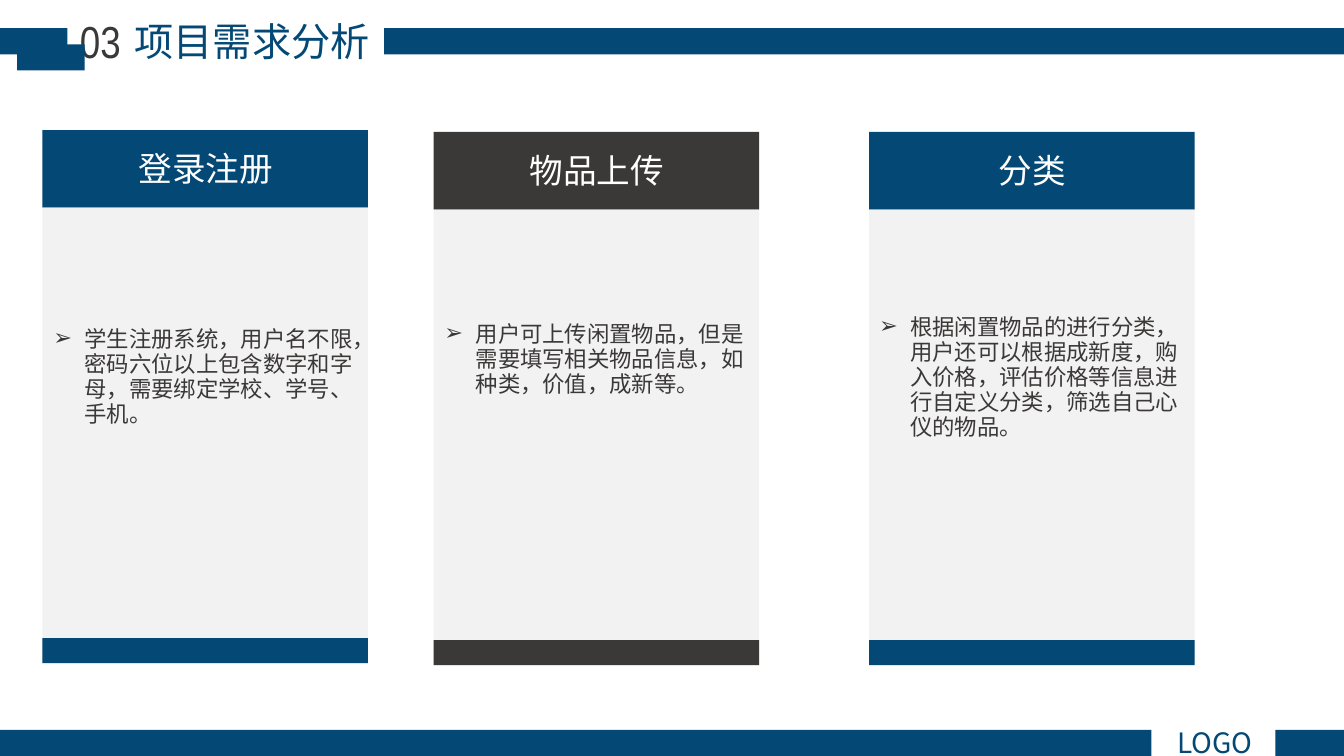
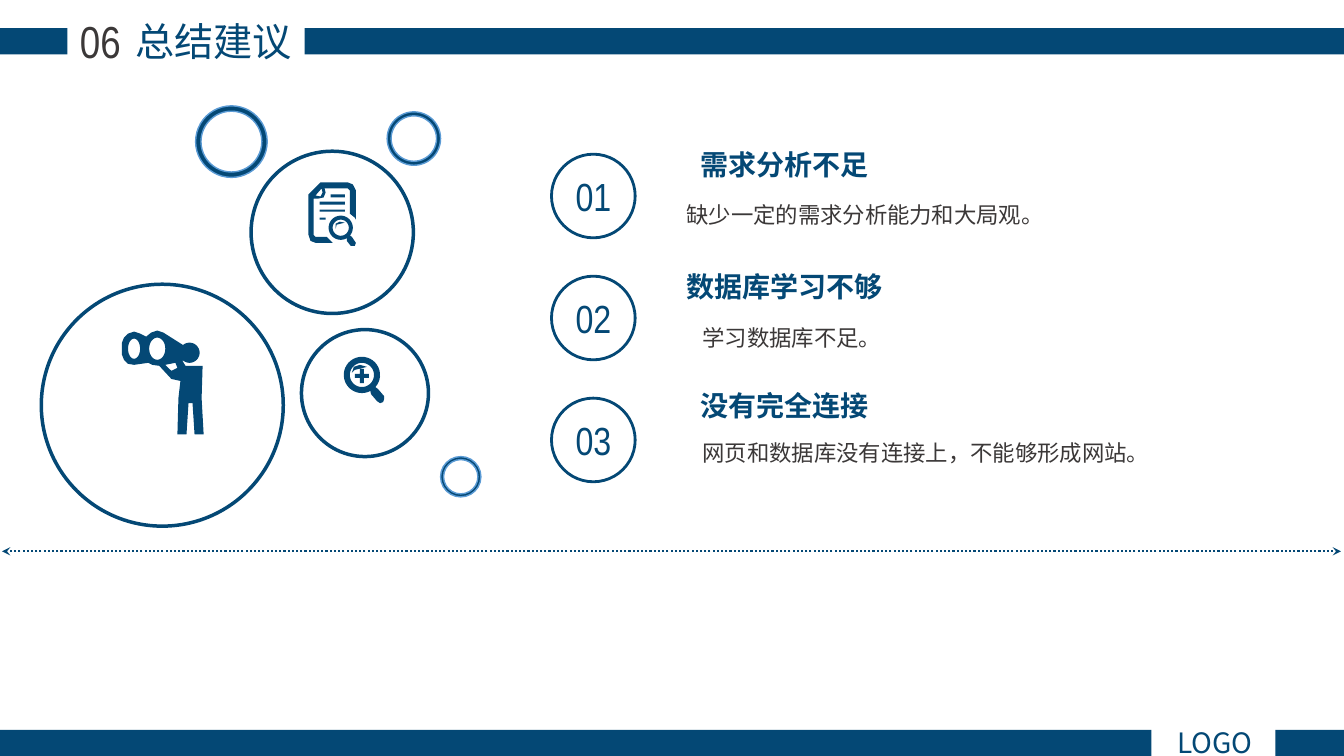
from math import cos, radians, sin

from lxml import etree
from pptx import Presentation
from pptx.dml.color import RGBColor
from pptx.enum.dml import MSO_LINE
from pptx.enum.shapes import MSO_CONNECTOR, MSO_SHAPE
from pptx.enum.text import PP_ALIGN
from pptx.oxml.ns import qn
from pptx.util import Inches, Pt

RECT, OVAL, DONUT = MSO_SHAPE.RECTANGLE, MSO_SHAPE.OVAL, MSO_SHAPE.DONUT
STRAIGHT, DOTTED = MSO_CONNECTOR.STRAIGHT, MSO_LINE.ROUND_DOT
LEFT, CENTER = PP_ALIGN.LEFT, PP_ALIGN.CENTER

BLUE, DARK, PALE, WHITE, RIM = "044875", "3B3838", "F2F2F2", "FFFFFF", "5B9BD5"
CJK, LATIN, NARROW = "Noto Sans CJK SC", "Calibri", "Arial Narrow"
BAND_H = 0.26

# Text styles
TITLE = {"size": Pt(28), "name": CJK}
SECTION = {"size": Pt(32), "name": NARROW}
FOOTER = {"size": Pt(20), "name": CJK}
CARD_HEAD = {"size": Pt(24), "name": LATIN}
BODY = {"size": Pt(16), "name": LATIN}
NUMBER = {"size": Pt(28), "name": NARROW}
POINT = {"size": Pt(20), "name": LATIN, "bold": True}


def rgb(value):
    return RGBColor.from_string(value)


def arc(cx, cy, rx, ry, start=0, end=360, steps=36):
    """Points along an ellipse, angles in degrees, clockwise from the right."""
    angles = [radians(start + (end - start) * i / steps) for i in range(steps + 1)]
    return [(cx + rx * cos(a), cy + ry * sin(a)) for a in angles]


def box(x1, y1, x2, y2):
    return [(x1, y1), (x2, y1), (x2, y2), (x1, y2)]


class Deck:
    def __init__(self):
        self.prs = Presentation()
        self.prs.slide_width, self.prs.slide_height = Inches(13.33), Inches(7.5)
        self.s = None

    def slide(self, number, title, title_x, bar_x):
        """Start a slide with the shared title, bands and footer."""
        self.s = self.prs.slides.add_slide(self.prs.slide_layouts[6])
        for x, y, w in ((0, 0.28, 0.67), (bar_x, 0.28, 13.33 - bar_x),
                        (12.65, 7.24, 0.68), (0, 7.24, 11.42)):
            self.shape(RECT, x, y, w, BAND_H, BLUE)
        self.text(title, title_x, 0.12, 3.6, 0.57, TITLE, BLUE)
        self.text(number, 0.6, 0.09, 0.79, 0.64, SECTION, DARK)
        self.text("LOGO", 11.23, 7.15, 1.64, 0.44, FOOTER, BLUE)

    def paint(self, sp, fill=None, line=None, width=1):
        sp.shadow.inherit = False
        if fill:
            sp.fill.solid()
            sp.fill.fore_color.rgb = rgb(fill)
        else:
            sp.fill.background()
        if line:
            sp.line.color.rgb = rgb(line)
            sp.line.width = Pt(width)
        else:
            sp.line.fill.background()

    def shape(self, kind, x, y, w, h, fill=None, line=None, width=1):
        sp = self.s.shapes.add_shape(kind, Inches(x), Inches(y), Inches(w), Inches(h))
        self.paint(sp, fill, line, width)
        return sp

    def text(self, text, x, y, w, h, style, color, align=CENTER, spacing=None, bullet=None):
        sp = self.s.shapes.add_textbox(Inches(x), Inches(y), Inches(w), Inches(h))
        tf = sp.text_frame
        tf.word_wrap = True
        p = tf.paragraphs[0]
        p.alignment = align
        if spacing:
            p.line_spacing = Pt(spacing)
        if bullet:
            pPr = p._p.get_or_add_pPr()
            pPr.set("marL", str(Inches(0.31)))
            pPr.set("indent", str(-Inches(0.31)))
            etree.SubElement(pPr, qn("a:buFont"), typeface="Wingdings")
            pPr[-1].set("typeface", "Arial")
            etree.SubElement(pPr, qn("a:buChar"), char=bullet)
        r = p.add_run()
        r.text = text
        for key, value in style.items():
            setattr(r.font, key, value)
        r.font.color.rgb = rgb(color)
        etree.SubElement(r._r.get_or_add_rPr(), qn("a:ea"), typeface=CJK)

    def icon(self, *outlines):
        """One freeform; outlines inside others cut holes."""
        pts = [[(Inches(x), Inches(y)) for x, y in o] for o in outlines]
        fb = self.s.shapes.build_freeform(*pts[0][0])
        fb.add_line_segments(pts[0][1:], close=True)
        for outline in pts[1:]:
            fb.move_to(*outline[0])
            fb.add_line_segments(outline[1:], close=True)
        self.paint(fb.convert_to_shape(), BLUE)

    def ring(self, x, y, d):
        sp = self.shape(DONUT, x, y, d, d, BLUE, RIM)
        sp.adjustments[0] = 0.075

    def circle(self, x, y, d, width):
        self.shape(OVAL, x, y, d, d, line=BLUE, width=width)

    def dotted_arrow(self, x1, x2, y):
        c = self.s.shapes.add_connector(STRAIGHT, Inches(x1), Inches(y), Inches(x2), Inches(y))
        c.line.color.rgb = rgb(BLUE)
        c.line.width = Pt(1.5)
        c.line.dash_style = DOTTED
        ln = c.line._get_or_add_ln()
        for end in ("a:headEnd", "a:tailEnd"):
            etree.SubElement(ln, qn(end), type="stealth")
        etree.SubElement(c._element.spPr, qn("a:effectLst"))

    def card(self, x, y, color, head, body, body_x, body_y, body_h):
        w = 3.23
        self.shape(RECT, x, y, w, 0.77, color)
        self.shape(RECT, x, y + 0.77, w, 4.52, PALE)
        self.shape(RECT, x, y + 5.04, w, 0.25, color)
        self.text(head, x + 0.14, y + 0.13, 2.96, 0.5, CARD_HEAD, WHITE)
        self.text(body, body_x, body_y, 3.22, body_h, BODY, DARK, LEFT, 18, "➢")


def requirements(deck):
    deck.slide("03", "项目需求分析", 0.7, 3.81)
    cards = (
        (0.42, 1.29, BLUE, "登录注册",
         "学生注册系统，用户名不限，密码六位以上包含数字和字母，需要绑定学校、学号、手机。",
         0.43, 3.19, 1.11),
        (4.3, 1.31, DARK, "物品上传",
         "用户可上传闲置物品，但是需要填写相关物品信息，如种类，价值，成新等。",
         4.31, 3.14, 0.86),
        (8.62, 1.31, BLUE, "分类",
         "根据闲置物品的进行分类，用户还可以根据成新度，购入价格，评估价格等信息进行自定义分类，筛选自己心仪的物品。",
         8.62, 3.07, 1.36),
    )
    for card in cards:
        deck.card(*card)
    deck.shape(RECT, 0.17, 0.44, 0.67, BAND_H, BLUE)


def draw_icons(deck):
    # Person with binoculars
    deck.icon(
        [(1.56, 3.28), (1.5, 3.3), (1.45, 3.34), (1.39, 3.31), (1.33, 3.29), (1.27, 3.31),
         (1.23, 3.35), (1.21, 3.4), (1.21, 3.52), (1.23, 3.57), (1.27, 3.61), (1.33, 3.62),
         (1.47, 3.6), (1.51, 3.62), (1.58, 3.63), (1.7, 3.76), (1.79, 3.78), (1.77, 3.95),
         (1.76, 4.31), (1.85, 4.31), (1.87, 4), (1.91, 4), (1.93, 4.31), (2.02, 4.31),
         (2, 3.95), (2.01, 3.63), (1.84, 3.63), (1.81, 3.58),
         *arc(1.88, 3.5, 0.1, 0.1, 130, -130), (1.62, 3.3)],
        [(1.76, 3.65), (1.7, 3.68), (1.64, 3.62), (1.74, 3.6)],
        arc(1.33, 3.46, 0.06, 0.1),
        arc(1.56, 3.46, 0.08, 0.11))
    # Document with magnifier
    deck.icon(
        [(3.19, 1.81), (3.45, 1.81), (3.5, 1.83), (3.53, 1.89), (3.53, 2.18), (3.52, 2.16),
         (3.47, 2.12), (3.47, 1.89), (3.45, 1.87), (3.22, 1.87), (3.23, 1.91), (3.21, 1.96),
         (3.16, 1.97), (3.11, 1.97), (3.11, 2.33), (3.13, 2.35), (3.24, 2.35), (3.3, 2.41),
         (3.13, 2.41), (3.08, 2.39), (3.06, 2.33), (3.06, 1.93), (3.18, 1.81)],
        [(3.19, 1.87), (3.13, 1.94), (3.18, 1.95), (3.2, 1.91)],
        box(3.28, 1.93, 3.42, 1.96), box(3.17, 2, 3.42, 2.03),
        box(3.17, 2.08, 3.42, 2.1), box(3.17, 2.16, 3.23, 2.18),
        [*arc(3.38, 2.26, 0.12, 0.12, 40, -300), (3.44, 2.39), (3.48, 2.44), (3.52, 2.44),
         (3.53, 2.41), (3.49, 2.35)],
        arc(3.38, 2.26, 0.08, 0.08),
        [(3.33, 2.27), (3.34, 2.23), (3.42, 2.21), (3.37, 2.2), (3.33, 2.22)])
    # Zoom-in magnifier
    deck.icon(
        [*arc(3.59, 3.72, 0.18, 0.18, 42, -298), (3.68, 3.91), (3.74, 3.98), (3.77, 4),
         (3.8, 3.99), (3.81, 3.96), (3.81, 3.93), (3.75, 3.86)],
        arc(3.59, 3.72, 0.12, 0.12),
        [(3.57, 3.66), (3.61, 3.66), (3.61, 3.71), (3.66, 3.71), (3.66, 3.75), (3.61, 3.75),
         (3.61, 3.8), (3.57, 3.8), (3.57, 3.75), (3.52, 3.75), (3.52, 3.71), (3.57, 3.71)],
        [(3.49, 3.7), (3.52, 3.67), (3.64, 3.64), (3.57, 3.62), (3.51, 3.64)])


def summary(deck):
    deck.slide("06", "总结建议", 0.32, 3.02)
    # Bubbles
    for ring in ((1.94, 1.05, 0.71), (3.84, 1.11, 0.53), (4.37, 4.53, 0.4)):
        deck.ring(*ring)
    for bubble in ((0.41, 2.82, 2.4), (2.49, 1.5, 1.61), (2.99, 3.27, 1.26)):
        deck.circle(*bubble, 2.5)
    draw_icons(deck)
    # Numbered points
    points = (
        ("需求分析不足", 1.41, "缺少一定的需求分析能力和大局观。", 6.71, 1.95),
        ("数据库学习不够", 2.62, "学习数据库不足。", 6.87, 3.17),
        ("没有完全连接", 3.81, "网页和数据库没有连接上，不能够形成网站。", 6.87, 4.31),
    )
    for i, (head, head_y, body, body_x, body_y) in enumerate(points):
        y = 1.53 + 1.21 * i
        deck.text(f"{i + 1:02}", 5.21, y + 0.13, 1.35, 0.57, NUMBER, BLUE)
        deck.circle(5.47, y, 0.83, 2)
        deck.text(head, 6.08, head_y, 3.4, 0.44, POINT, BLUE)
        deck.text(body, body_x, body_y, 6.62, 0.37, BODY, DARK, LEFT, 19)
    deck.dotted_arrow(13.3, 0.02, 5.47)


def main():
    deck = Deck()
    requirements(deck)
    summary(deck)
    deck.prs.save("out.pptx")


if __name__ == "__main__":
    main()
